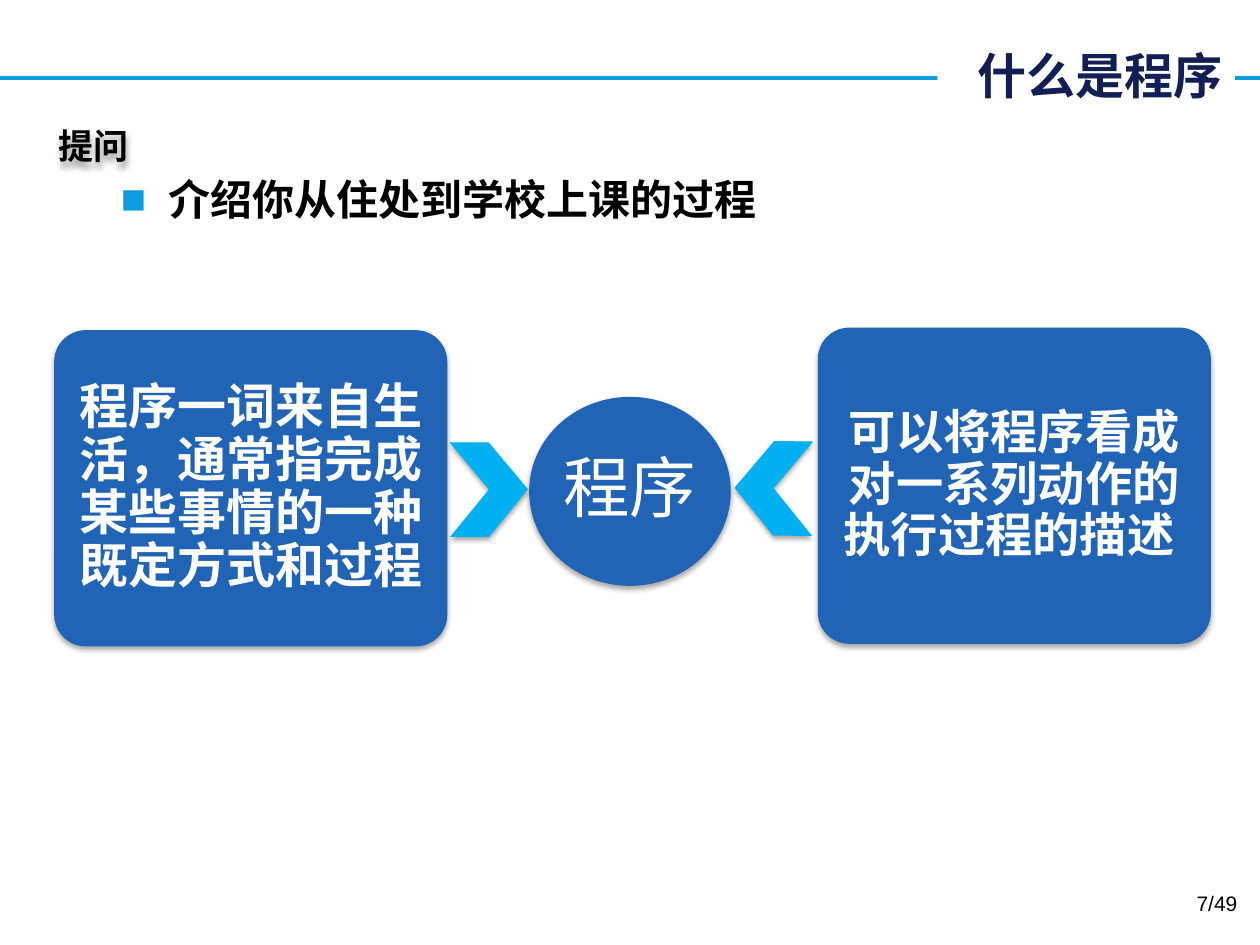
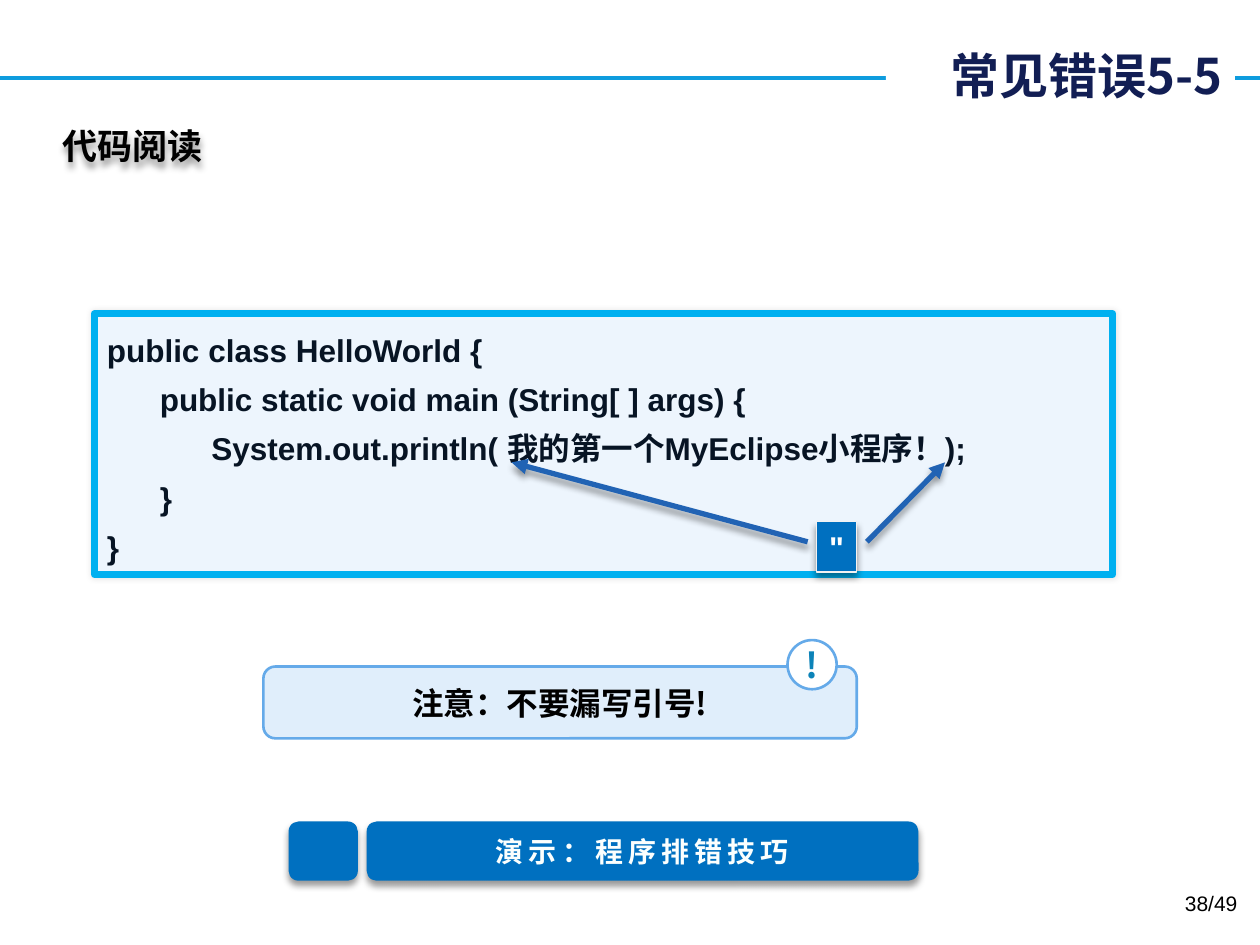
from pptx import Presentation
from pptx.util import Inches, Pt
from pptx.dml.color import RGBColor
from pptx.enum.shapes import MSO_SHAPE, MSO_CONNECTOR
from pptx.enum.text import PP_ALIGN, MSO_ANCHOR, MSO_AUTO_SIZE
from pptx.oxml.ns import qn
from lxml.etree import SubElement

C = {
    "rule": "0E9CDE", "navy": "121E54", "black": "000000", "white": "FFFFFF",
    "box": "2163B4", "sky": "00B0F0", "blue": "0070C0", "code_bg": "EDF5FD",
    "code": "071424", "pale": "F2F2F2", "demo": "FBFFFE", "note_bg": "E0EEFB",
    "note_line": "65AAE9", "mark": "0C83B8",
}
CJK = "Noto Sans CJK SC"
SOFT = (35, 3.1, 1.8, 90)
DEEP = (40, 4, 3, 90)
GLOW = (10, 3, 0, 0)


def style(sp, fill=None, line=None, width=1, shadow=None):
    if fill:
        sp.fill.solid()
        sp.fill.fore_color.rgb = RGBColor.from_string(C[fill])
    if line:
        sp.line.color.rgb = RGBColor.from_string(C[line])
        sp.line.width = Pt(width)
    else:
        sp.line.fill.background()
    effects = SubElement(sp._element.spPr, qn("a:effectLst"))
    if shadow:
        alpha, blur, dist, angle = shadow
        outer = SubElement(effects, qn("a:outerShdw"), blurRad=str(Pt(blur)), dist=str(Pt(dist)),
                           dir=str(angle * 60000), algn="ctr", rotWithShape="0")
        clr = SubElement(outer, qn("a:srgbClr"), val=C["black"])
        SubElement(clr, qn("a:alpha"), val=str(alpha * 1000))


def write(sp, lines, size, color, align=PP_ALIGN.CENTER, name=CJK, bold=True,
          anchor=MSO_ANCHOR.MIDDLE, inset=(0.1, 0.05), wrap=True, spacing=1.0):
    tf = sp.text_frame
    x, y = map(Inches, inset)
    frame = dict(auto_size=MSO_AUTO_SIZE.NONE, word_wrap=wrap, vertical_anchor=anchor,
                 margin_left=x, margin_right=x, margin_top=y, margin_bottom=y)
    for key, value in frame.items():
        setattr(tf, key, value)
    for i, line in enumerate(lines):
        p = tf.add_paragraph() if i else tf.paragraphs[0]
        for key, value in dict(alignment=align, line_spacing=spacing, space_before=Pt(0)).items():
            setattr(p, key, value)
        r = p.add_run()
        r.text = line
        for key, value in dict(size=Pt(size), bold=bold, name=name).items():
            setattr(r.font, key, value)
        r.font.color.rgb = RGBColor.from_string(C[color])
        SubElement(r._r.get_or_add_rPr(), qn("a:ea"), typeface=CJK)


prs = Presentation()
prs.slide_width, prs.slide_height = Inches(10), Inches(7.5)

pages = [
    (1, "什么是程序", 7.44, "提问", 0.36, 0.77, "7/49"),
    (5, "常见错误5-5", 7.03, "代码阅读", 0.39, 1.33, "38/49"),
]
for layout, title, title_left, heading, head_left, head_width, number in pages:
    s = prs.slides.add_slide(prs.slide_layouts[layout])
    rule = s.shapes.add_connector(MSO_CONNECTOR.STRAIGHT, 0, Inches(0.62), Inches(10), Inches(0.62))
    style(rule, line="rule", width=2.25)
    s.shapes._spTree.insert(2, rule._element)

    sp = s.shapes.title
    sp.left, sp.top, sp.width, sp.height = map(Inches, (title_left, 0.31, 9.8 - title_left, 0.57))
    style(sp, "white")
    write(sp, [title], 28, "navy", PP_ALIGN.RIGHT)

    sp = s.shapes.add_textbox(*map(Inches, (head_left, 0.94, head_width, 0.44)))
    style(sp, shadow=DEEP)
    write(sp, [heading], 20, "black", wrap=False, anchor=MSO_ANCHOR.TOP)

    sp = s.shapes.add_textbox(*map(Inches, (7.59, 7.02, 2.33, 0.4)))
    write(sp, [number], 12, "black", PP_ALIGN.RIGHT, "Arial", False, MSO_ANCHOR.TOP)

s = prs.slides[0]
body = s.placeholders[1]
body.left, body.top, body.width, body.height = map(Inches, (0.86, 1.33, 8.36, 5.62))
write(body, ["介绍你从住处到学校上课的过程"], 24, "black", PP_ALIGN.LEFT, "Arial", anchor=MSO_ANCHOR.TOP)
pPr = body.text_frame.paragraphs[0]._p.get_or_add_pPr()
pPr.set("marL", str(Inches(0.38)))
pPr.set("indent", str(-Inches(0.38)))
SubElement(SubElement(pPr, qn("a:buClr")), qn("a:srgbClr"), val=C["rule"])
SubElement(pPr, qn("a:buFont"), typeface="Arial")
SubElement(pPr, qn("a:buChar"), char="■")

center = s.shapes.add_shape(MSO_SHAPE.OVAL, *map(Inches, (4.2, 3.15, 1.6, 1.5)))
style(center, "box", shadow=SOFT)
write(center, ["程序"], 38, "white", name="Arial", bold=False, inset=(0.03, 0.03), spacing=0.9)

sides = [
    (0.43, 2.62, "程序一词来自生活，通常指完成某些事情的一种既定方式和过程", 28, 3.57, 3.51, 359.7),
    (6.49, 2.6, "可以将程序看成对一系列动作的执行过程的描述 ", 27, 5.83, 3.5, 180.7),
]
for left, top, text, size, arrow_left, arrow_top, turn in sides:
    sp = s.shapes.add_shape(MSO_SHAPE.ROUNDED_RECTANGLE, *map(Inches, (left, top, 3.12, 2.51)))
    sp.adjustments[0] = 0.1
    style(sp, "box", shadow=SOFT)
    write(sp, [text], size, "white", name="Arial", inset=(0.07, 0.07), spacing=0.9)
    sp = s.shapes.add_shape(MSO_SHAPE.CHEVRON, *map(Inches, (arrow_left, arrow_top, 0.62, 0.75)))
    sp.rotation = turn
    style(sp, "sky", shadow=SOFT)

s = prs.slides[1]
code = s.shapes.add_shape(MSO_SHAPE.ROUNDED_RECTANGLE, *map(Inches, (0.75, 2.49, 8.08, 2.07)))
code.adjustments[0] = 0
style(code, "code_bg", "sky", 4, GLOW)
write(code, [
    "public class HelloWorld {",
    "\tpublic static void main (String[ ] args) {",
    "\t\tSystem.out.println( 我的第一个MyEclipse小程序！);",
    "\t}",
    "}",
], 18, "code", PP_ALIGN.LEFT, "Arial", anchor=MSO_ANCHOR.TOP, spacing=1.3)
for p in code.text_frame.paragraphs:
    tabs = SubElement(p._p.get_or_add_pPr(), qn("a:tabLst"))
    for stop in (0.42, 0.83):
        SubElement(tabs, qn("a:tab"), pos=str(Inches(stop)), algn="l")

for start, end in ((6.88, 7.5), (6.41, 4.06)):
    arrow = s.shapes.add_connector(MSO_CONNECTOR.STRAIGHT, *map(Inches, (start, 4.3, end, 3.67)))
    style(arrow, line="box", width=3, shadow=DEEP)
    SubElement(arrow.line._get_or_add_ln(), qn("a:tailEnd"), type="triangle")

quote = s.shapes.add_shape(MSO_SHAPE.ROUNDED_RECTANGLE, *map(Inches, (6.48, 4.14, 0.32, 0.4)))
quote.adjustments[0] = 0
style(quote, "blue", "pale", 0.75, DEEP)
write(quote, ['"'], 18, "white", name="Arial", wrap=False)

note = s.shapes.add_shape(MSO_SHAPE.ROUNDED_RECTANGLE, *map(Inches, (2.09, 5.29, 4.71, 0.57)))
style(note, "note_bg", "note_line", 1.5)
write(note, ["注意：不要漏写引号!"], 18, "black")
mark = s.shapes.add_shape(MSO_SHAPE.OVAL, *map(Inches, (6.25, 5.08, 0.39, 0.39)))
style(mark, "white", "note_line", 1.5)
write(mark, ["!"], 20, "mark", inset=(0, 0), wrap=False)

for left, width in ((2.29, 0.55), (2.91, 4.38)):
    demo = s.shapes.add_shape(MSO_SHAPE.ROUNDED_RECTANGLE, *map(Inches, (left, 6.52, width, 0.47)))
    style(demo, "blue", shadow=DEEP)
write(demo, ["演示：程序排错技巧"], 16, "demo")
demo.text_frame.paragraphs[0].runs[0]._r.get_or_add_rPr().set("spc", "300")

prs.save("out.pptx")
